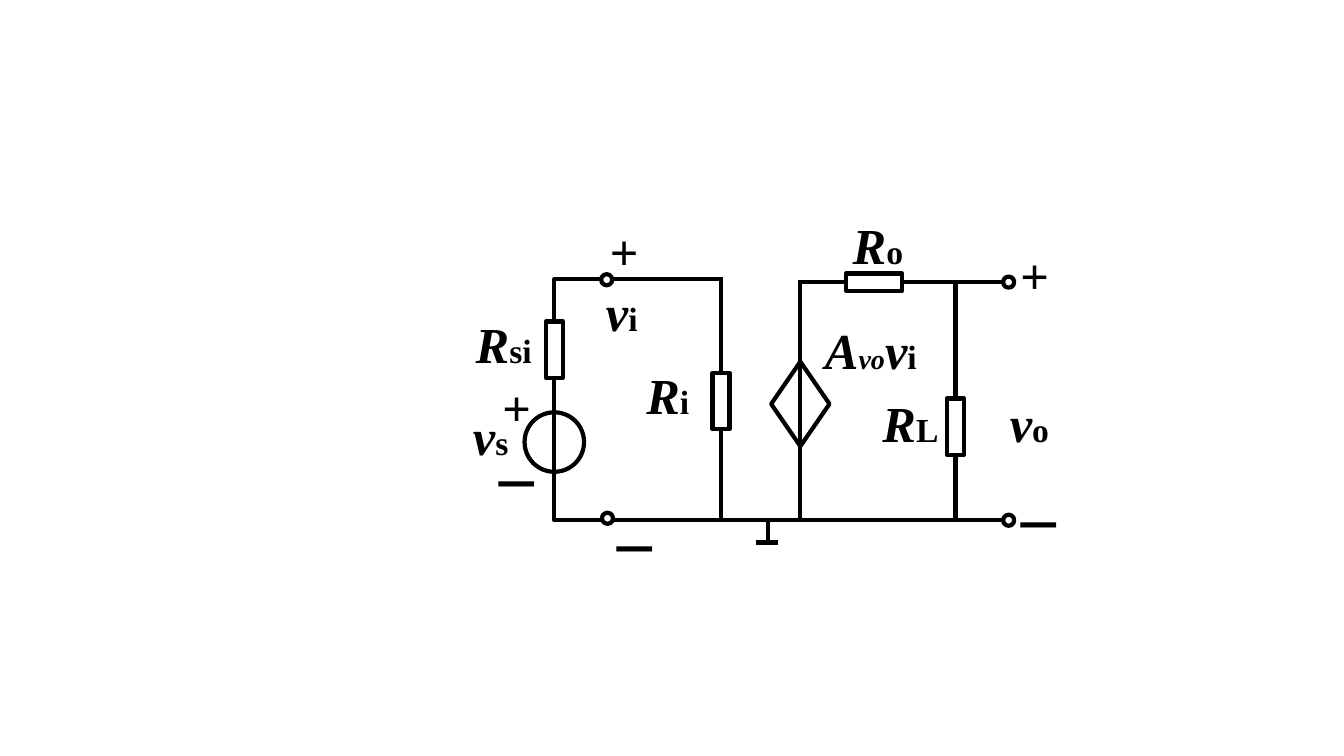
from lxml import etree
from pptx import Presentation
from pptx.dml.color import RGBColor
from pptx.enum.shapes import MSO_CONNECTOR, MSO_SHAPE
from pptx.enum.text import MSO_AUTO_SIZE
from pptx.oxml.ns import qn
from pptx.util import Cm, Pt

LINE, ELBOW = MSO_CONNECTOR.STRAIGHT, MSO_CONNECTOR.ELBOW
RECT, OVAL, DIAMOND = MSO_SHAPE.RECTANGLE, MSO_SHAPE.OVAL, MSO_SHAPE.DIAMOND
GROW = MSO_AUTO_SIZE.SHAPE_TO_FIT_TEXT
TOP, LEFT, BOTTOM, RIGHT = range(4)

COLORS = {"ink": "000000", "paper": "FFFFFF"}
FONT = "Times New Roman"
STROKE = Pt(3)
HALF = 0.05  # half a stroke, cm
BIG, SUB, TINY = 36, 24, 20
LONG, SHORT = 1.42, 0.43  # resistor sides, cm
PLUS = [("+", BIG, True)]
MINUS = [("－", BIG, False)]

# Boxes: left, top, width, height in cm
INPUT = (13.97, 7.04, 4.2, 6.07)
OUTPUT = (20.17, 7.11, 3.91, 6.0)
GROUND = (19.05, 13.11, 0.56, 0.56)


def color(name):
    return RGBColor.from_string(COLORS[name])


def part(shapes, kind, x, y, wid, hgt):
    """Add an outlined shape centred on x, y."""
    shape = shapes.add_shape(kind, Cm(x - wid / 2), Cm(y - hgt / 2), Cm(wid), Cm(hgt))
    shape.shadow.inherit = False
    shape.fill.solid()
    shape.fill.fore_color.rgb = color("paper")
    shape.line.color.rgb = color("ink")
    shape.line.width = STROKE
    return shape


def node(shapes, x, y):
    """Add an open terminal."""
    part(shapes, OVAL, x, y, 0.28, 0.28)


def wire(shapes, start, end, kind=LINE):
    """Run from a point to a point or to a pair (shape, side)."""
    line = shapes.add_connector(kind, *map(Cm, start), 0, 0)
    if isinstance(end[0], (int, float)):
        line.end_x, line.end_y = map(Cm, end)
    else:
        line.end_connect(*end)
    line.line.color.rgb = color("ink")
    line.line.width = STROKE
    props = line.element.spPr
    etree.SubElement(props, qn("a:effectLst"))
    if kind == ELBOW:
        props.find(qn("a:prstGeom")).set("prst", "bentConnector2")


def bend(shapes, start, end):
    """Run level from a point, then turn once to reach (shape, side)."""
    wire(shapes, start, end, ELBOW)


def label(shapes, x, y, wid, runs):
    """Add a symbol from runs of (text, size, italic)."""
    frame = shapes.add_textbox(Cm(x), Cm(y), Cm(wid), Cm(1.8)).text_frame
    frame.word_wrap = False
    frame.auto_size = GROW
    for text, size, slant in runs:
        run = frame.paragraphs[0].add_run()
        run.text = text
        font = run.font
        font.name, font.size = FONT, Pt(size)
        font.bold, font.italic = True, slant
        font.color.rgb = color("ink")


def symbol(main, sub):
    return [(main, BIG, True), (sub, SUB, False)]


def labels(shapes, x, y, items):
    """Add labels at offsets from x, y."""
    for dx, dy, wid, runs in items:
        label(shapes, x + dx, y + dy, wid, runs)


def ground(shapes, box):
    """Draw the earth mark."""
    x, y, wid, hgt = box
    mid = x + 0.3
    wire(shapes, (mid, y), (mid, y + hgt))
    wire(shapes, (x, y + hgt), (x + wid, y + hgt))


def source(shapes, box):
    """Draw the signal source and the input resistance."""
    x, y, wid, hgt = box
    right, base = x + wid, y + hgt
    part(shapes, OVAL, x, y + 4.1, 1.5, 1.5)
    series = part(shapes, RECT, x, y + 1.77, SHORT, LONG)
    load = part(shapes, RECT, right, y + 3.07, SHORT, LONG)
    bend(shapes, (x + 2.97, y), (series, TOP))
    bend(shapes, (x + 8.48, base), (series, BOTTOM))
    wire(shapes, (right, y - HALF), (load, TOP))
    wire(shapes, (right, y), (x + 2.67, y))
    wire(shapes, (right, base), (load, BOTTOM))
    node(shapes, x + 1.32, y + 0.01)
    node(shapes, x + 1.34, base - HALF)
    labels(shapes, x, y, [
        (-2.23, 0.73, 1.93, symbol("R", "si")),
        (-2.3, 3.04, 1.42, symbol("v", "s")),
        (-1.57, 2.31, 1.24, PLUS),
        (-1.83, 4.26, 1.8, MINUS),
        (2.07, 2.0, 1.6, symbol("R", "i")),
        (1.14, -1.62, 1.24, PLUS),
        (1.14, 5.89, 1.8, MINUS),
        (1.05, -0.08, 1.32, symbol("v", "i")),
    ])


def output(shapes, box):
    """Draw the controlled source, output resistance and load."""
    x, y, wid, hgt = box
    right, base = x + wid, y + hgt
    port = right + 1.34
    load = part(shapes, RECT, right, y + 3.64, SHORT, LONG)
    bend(shapes, (x + 1.8, y), (load, TOP))
    bend(shapes, (x - 1.63, base), (load, BOTTOM))
    wire(shapes, (x + 3.45, y), (x, y))
    part(shapes, DIAMOND, x, y + 3.07, 1.47, 2.13)
    wire(shapes, (x, base), (x, y - HALF))
    part(shapes, RECT, x + 1.86, y, LONG, SHORT)
    for level in (y, base):
        wire(shapes, (right - HALF, level), (port, level))
        node(shapes, port, level)
    labels(shapes, x, y, [
        (5.28, -1.09, 1.24, PLUS),
        (5.13, 5.21, 1.8, MINUS),
        (1.82, 2.64, 1.93, symbol("R", "L")),
        (5.03, 2.64, 1.5, symbol("v", "o")),
        (0.37, 0.81, 2.84, [("A", BIG, True), ("vo", TINY, True)] + symbol("v", "i")),
        (1.07, -1.83, 1.8, symbol("R", "o")),
    ])


def main():
    deck = Presentation()
    deck.slide_width, deck.slide_height = Cm(33.87), Cm(19.05)
    shapes = deck.slides.add_slide(deck.slide_layouts[6]).shapes
    source(shapes, INPUT)
    output(shapes, OUTPUT)
    ground(shapes, GROUND)
    deck.save("out.pptx")


if __name__ == "__main__":
    main()
